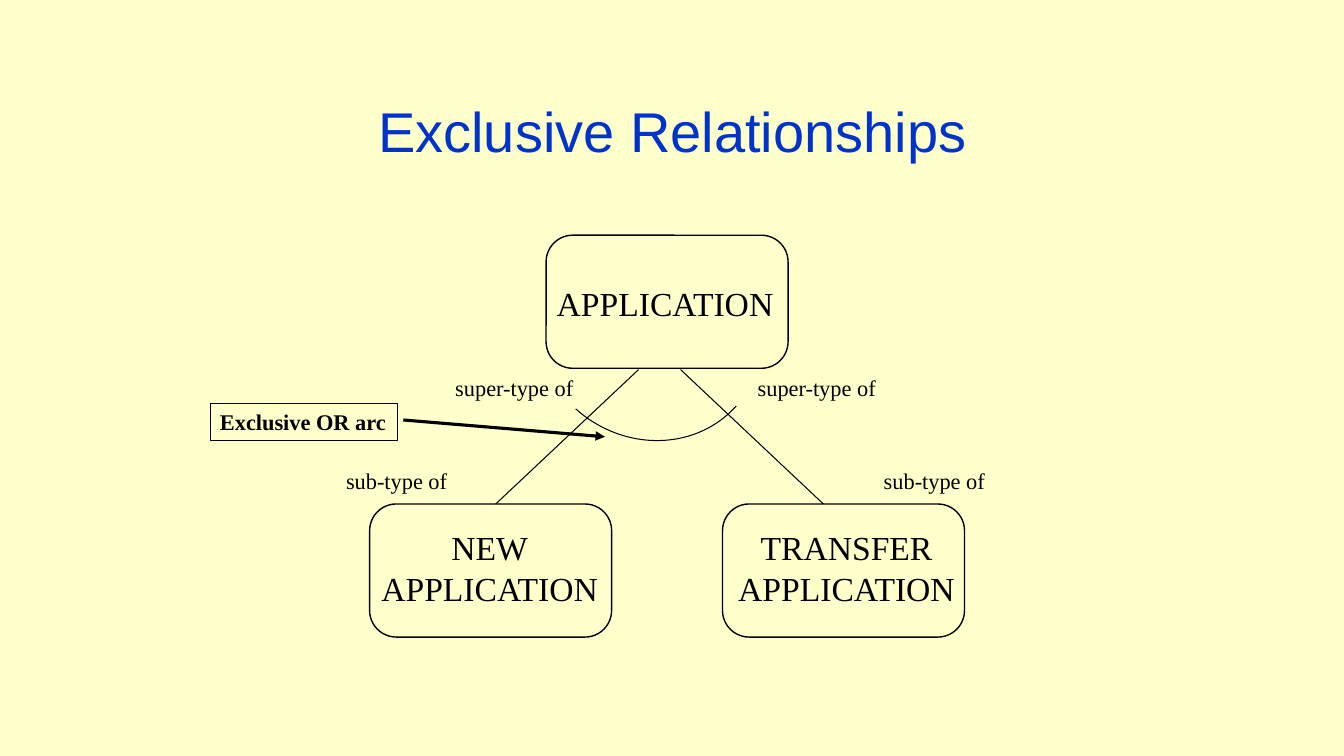
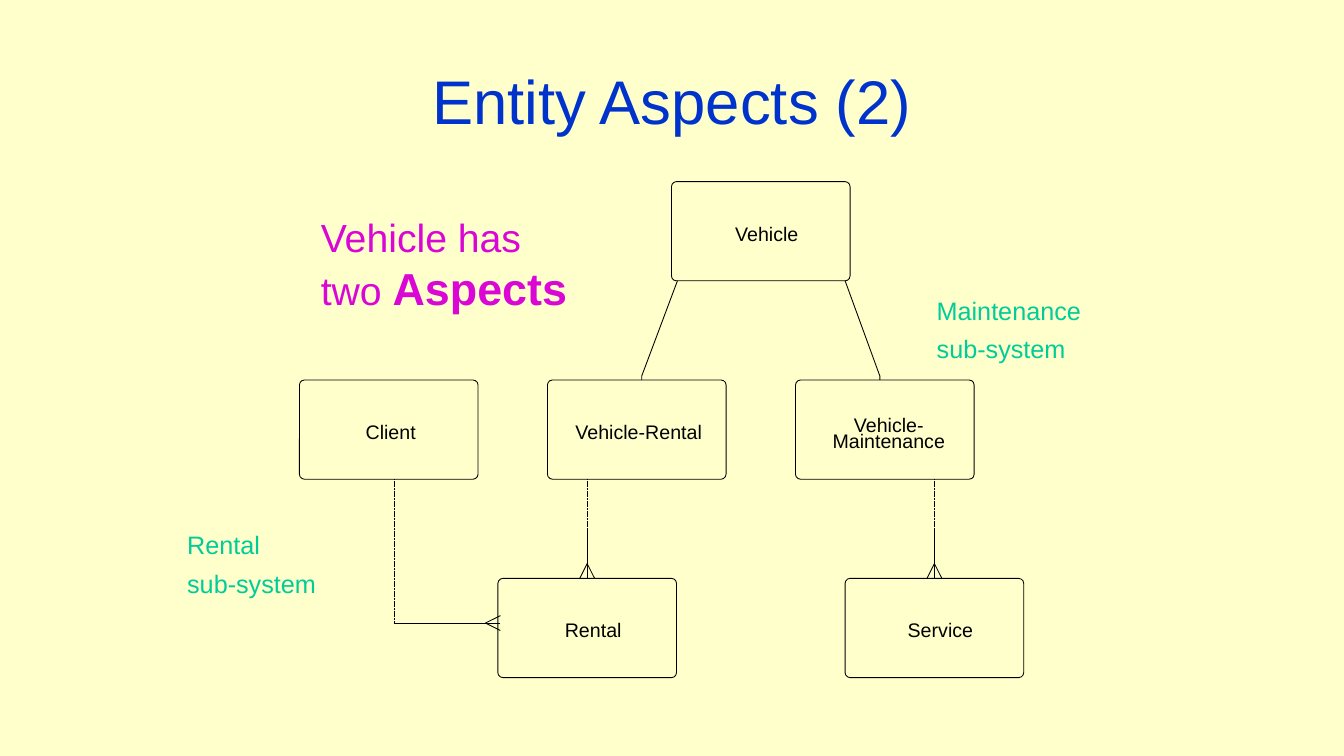
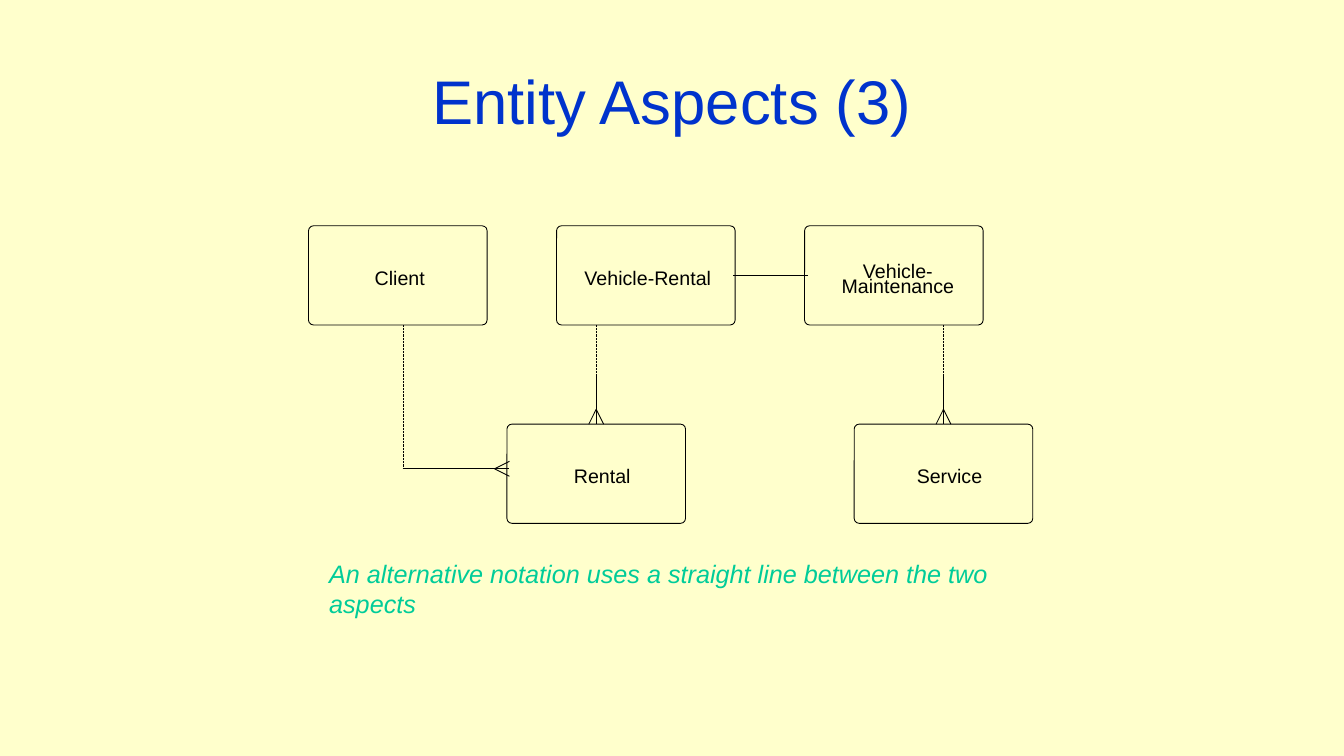
from dataclasses import dataclass

from lxml import etree
from pptx import Presentation
from pptx.dml.color import RGBColor
from pptx.enum.dml import MSO_LINE
from pptx.enum.shapes import MSO_CONNECTOR, MSO_SHAPE
from pptx.enum.text import MSO_ANCHOR, MSO_AUTO_SIZE, PP_ALIGN
from pptx.oxml.ns import qn
from pptx.util import Inches, Pt


# Theme and grids
@dataclass(frozen=True)
class Theme:
    paper: str = "FFFFCC"
    ink: str = "000000"
    title: str = "0033CC"
    accent: str = "DA06D5"
    note: str = "00CC99"
    sans: str = "Arial"
    serif: str = "Times New Roman"
    title_size: int = 44
    callout_size: int = 28
    strong_size: int = 32
    type_size: int = 24
    note_size: int = 18
    role_size: int = 16
    entity_size: int = 14
    thin: float = 0.63
    hair: float = 0.25


@dataclass(frozen=True)
class Grid:
    left: float
    top: float
    step: float

    def point(self, col, row):
        return Inches(self.left + col * self.step), Inches(self.top + row * self.step)

    def box(self, col, row, cols, rows):
        return *self.point(col, row), Inches(cols * self.step), Inches(rows * self.step)


T = Theme()
PAGE = Grid(0, 0, 1 / 12)  # 160 columns by 90 rows
MODULE = 0.492             # step of the entity diagrams
ENTITY = 3.6, 2            # entity size in modules
SUBTYPE = 28.8, 15.84      # type box size in page cells


# Text
def style(p, size, color=T.ink, font=T.sans, bold=None, italic=None, align=None):
    f = p.font
    f.size, f.name, f.bold, f.italic = Pt(size), font, bold, italic
    f.color.rgb = RGBColor.from_string(color)
    p.alignment = align


def fill_text(tf, lines, size, **look):
    for i, line in enumerate(lines):
        p = tf.add_paragraph() if i else tf.paragraphs[0]
        p.add_run().text = line
        style(p, size, **look)


def text(slide, cell, lines, size, anchor=MSO_ANCHOR.TOP, wrap=True, grow=True, **look):
    sp = slide.shapes.add_textbox(*PAGE.box(*cell))
    tf = sp.text_frame
    tf.word_wrap, tf.vertical_anchor = wrap, anchor
    tf.auto_size = MSO_AUTO_SIZE.SHAPE_TO_FIT_TEXT if grow else MSO_AUTO_SIZE.NONE
    fill_text(tf, lines, size, **look)
    return sp


def title(slide, words, cell=(38, 5, 84, 13.8), size=T.title_size):
    text(slide, cell, [words], size, MSO_ANCHOR.MIDDLE, grow=False,
         color=T.title, align=PP_ALIGN.CENTER)


def role(slide, col, row, words, cols, **look):
    return text(slide, (col, row, cols, 4.44), [words], T.role_size, wrap=False,
                font=T.serif, **look)


def subsystem(slide, cell, name):
    sp = text(slide, cell, [name, "sub-system"], T.note_size, MSO_ANCHOR.MIDDLE,
              color=T.note)
    p = sp.text_frame.paragraphs[1]
    p.line_spacing, p.space_before = 0.8, Pt(10)


# Shapes and lines
def ink(line, width):
    line.color.rgb = RGBColor.from_string(T.ink)
    line.width = Pt(width)


def outline(sp, width):
    sp.shadow.inherit = False
    sp.fill.background()
    ink(sp.line, width)


def rounded(slide, box, lines, size, radius, width, dx=0, dy=0, pitch=None, font=T.sans):
    """Rounded box whose label sits dx, dy inches off the centre."""
    sp = slide.shapes.add_shape(MSO_SHAPE.ROUNDED_RECTANGLE, *box)
    sp.adjustments[0] = radius
    outline(sp, width)
    tf = sp.text_frame
    tf.word_wrap, tf.vertical_anchor = True, MSO_ANCHOR.MIDDLE
    tf.margin_left, tf.margin_right = Inches(max(0, 2 * dx)), Inches(max(0, -2 * dx))
    tf.margin_top, tf.margin_bottom = Inches(max(0, 2 * dy)), Inches(max(0, -2 * dy))
    fill_text(tf, lines, size, font=font, align=PP_ALIGN.CENTER)
    for p in tf.paragraphs:
        p.line_spacing = pitch


def subtype(slide, col, row, lines, dx, dy):
    rounded(slide, PAGE.box(col, row, *SUBTYPE), lines, T.type_size, 0.2, 1,
            dx, dy, font=T.serif)


def entity(slide, grid, col, row, lines, dx=0.06, dy=0.02, pitch=None):
    rounded(slide, grid.box(col, row, *ENTITY), lines, T.entity_size, 0.05, T.thin,
            dx, dy, pitch)


def line(slide, grid, start, end, width=T.thin, dashed=False, arrow=False):
    c = slide.shapes.add_connector(MSO_CONNECTOR.STRAIGHT,
                                   *grid.point(*start), *grid.point(*end))
    ink(c.line, width)
    if dashed:
        c.line.dash_style = MSO_LINE.SQUARE_DOT
    if arrow:
        etree.SubElement(c.line._get_or_add_ln(), qn("a:tailEnd"), type="triangle")
    etree.SubElement(c._element.spPr, qn("a:effectLst"))


def polyline(slide, grid, points):
    first, *rest = [grid.point(*pt) for pt in points]
    builder = slide.shapes.build_freeform(*first)
    builder.add_line_segments(rest, close=False)
    outline(builder.convert_to_shape(), T.thin)


def to_many(slide, grid, start, bend, end):
    """Optional half, mandatory half, then a crow's foot at the end."""
    line(slide, grid, start, bend, T.hair, dashed=True)
    line(slide, grid, bend, end)
    (x, y), half = end, 0.15
    if bend[0] == x:
        foot = (x - half, y), (x, y - 2 * half), (x + half, y)
    else:
        foot = (x, y + half), (x - 2 * half, y), (x, y - half)
    polyline(slide, grid, foot)


def rental_model(slide, grid):
    entity(slide, grid, 0, 0, ["Client"], dx=0.02)
    entity(slide, grid, 5, 0, ["Vehicle-Rental"], dx=0.02)
    entity(slide, grid, 10, 0, ["Vehicle-", "Maintenance"], 0.04, 0.07, Pt(11))
    for col, name in ((4, "Rental"), (11, "Service")):
        entity(slide, grid, col, 4, [name])
        mid = col + ENTITY[0] / 2
        to_many(slide, grid, (mid, 2), (mid, 3), (mid, 4))
    to_many(slide, grid, (1.9, 2), (1.9, 4.9), (4.05, 4.9))


# Slides
def exclusive_relationships(slide):
    title(slide, "Exclusive Relationships", (12, 8, 136, 15), 40)
    subtype(slide, 65, 28, ["APPLICATION"], -0.02, 0.01)
    subtype(slide, 44, 60, ["NEW", "APPLICATION"], -0.01, -0.03)
    subtype(slide, 86, 60, ["TRANSFER", "APPLICATION"], 0.03, -0.03)
    for col in (53, 89):
        role(slide, col, 44, "super-type of", 16.56)
    for col in (40, 104):
        role(slide, col, 55, "sub-type of", 14.52)
    for top, bottom in ((76, 59), (81, 98)):
        line(slide, PAGE, (top, 44), (bottom, 60), 0.75)

    arc = slide.shapes.add_shape(MSO_SHAPE.ARC, *PAGE.box(64.2, 25, 26, 28))
    arc.rotation = 131.9
    outline(arc, 0.75)
    ink(role(slide, 25, 48, "Exclusive OR arc", 22.32, bold=True).line, 0.5)
    line(slide, PAGE, (48, 50), (72, 52), 2.25, arrow=True)


def aspects_of_vehicle(slide):
    title(slide, "Entity Aspects (2)")
    subsystem(slide, (21.1, 62.3, 25, 9.6), "Rental")
    subsystem(slide, (110.3, 34.4, 28, 9.6), "Maintenance")
    callout = text(slide, (37, 24.8, 32, 13.2), ["Vehicle has two "],
                   T.callout_size, color=T.accent)
    r = callout.text_frame.paragraphs[0].add_run()
    r.text = "Aspects"
    r.font.size, r.font.bold = Pt(T.strong_size), True

    grid = Grid(2.97, 3.77, MODULE)
    rental_model(slide, grid)
    entity(slide, grid, 7.5, -4, ["Vehicle"])
    for top, bottom in ((7.62, 6.9), (11, 11.7)):
        polyline(slide, grid, ((top, -2), (bottom, -0.08), (bottom, 0)))


def alternative_notation(slide):
    title(slide, "Entity Aspects (3)")
    text(slide, (38, 65.9, 84, 8.5),
         ["An alternative notation uses a straight line between the two aspects"],
         T.note_size, color=T.note, italic=True)
    grid = Grid(3.06, 2.24, MODULE)
    rental_model(slide, grid)
    line(slide, grid, (8.56, 1), (10.06, 1))


def main():
    prs = Presentation()
    prs.slide_width, prs.slide_height = Inches(13.33), Inches(7.5)
    paper = prs.slide_master.background.fill
    paper.solid()
    paper.fore_color.rgb = RGBColor.from_string(T.paper)
    for draw in (exclusive_relationships, aspects_of_vehicle, alternative_notation):
        draw(prs.slides.add_slide(prs.slide_layouts[6]))
    prs.save("out.pptx")


if __name__ == "__main__":
    main()
